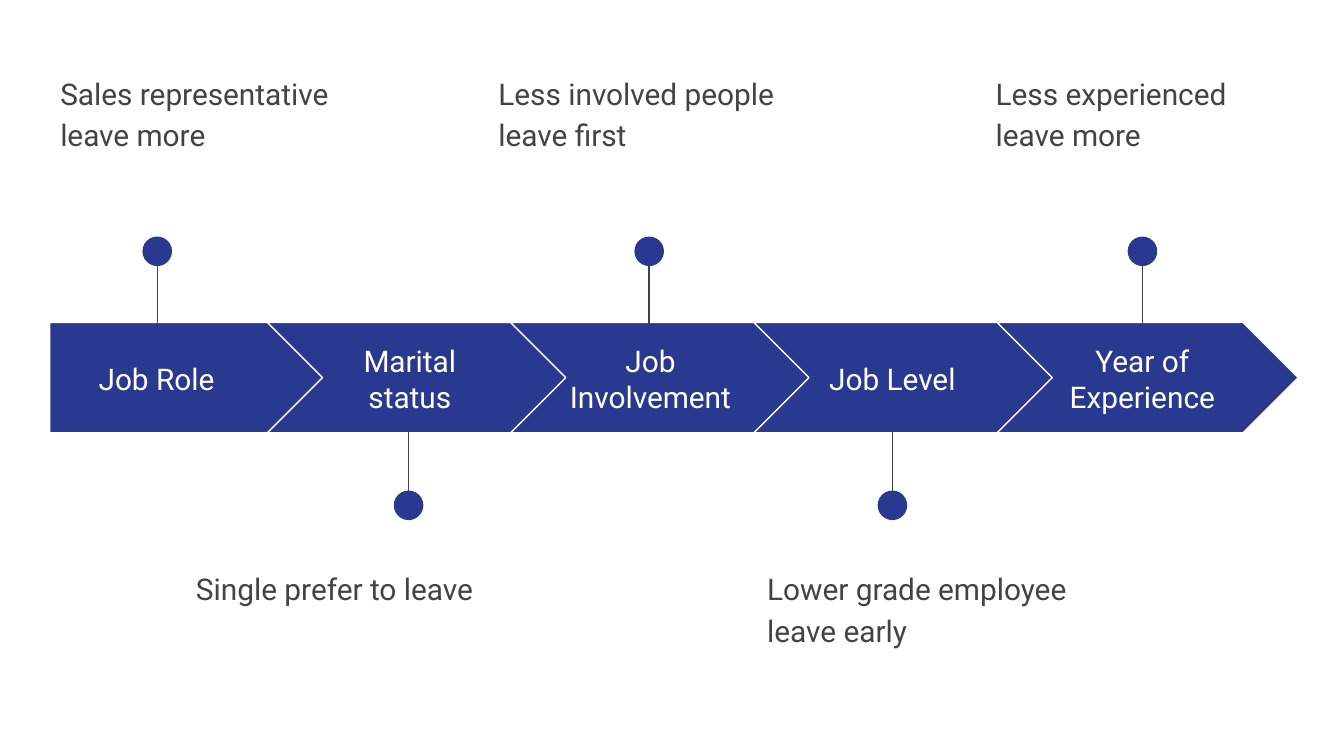
import dataclasses

import pptx
import pptx.dml.color
import pptx.enum.shapes
import pptx.enum.text
import pptx.oxml
import pptx.util

Inches = pptx.util.Inches
Shape = pptx.enum.shapes.MSO_SHAPE
Align = pptx.enum.text.PP_ALIGN
Anchor = pptx.enum.text.MSO_ANCHOR


@dataclasses.dataclass(frozen=True)
class Theme:
    font: str = "Roboto"
    size: int = 16
    line_width: float = 0.75
    accent: str = "2A3990"
    light: str = "FFFFFF"
    dark: str = "434343"


def rgb(value):
    return pptx.dml.color.RGBColor.from_string(value)


class TimelinePage:
    def __init__(self, page, theme):
        self.page = page
        self.theme = theme

    def arrow(self, kind, left, width):
        shape = self.page.shapes.add_shape(
            kind, Inches(left), Inches(2.4), Inches(width), Inches(0.82))
        shape.adjustments[0] = 0.5
        shape.shadow.inherit = False
        shape.fill.solid()
        shape.fill.fore_color.rgb = rgb(self.theme.accent)
        shape.line.color.rgb = rgb(self.theme.light)
        shape.line.width = pptx.util.Pt(self.theme.line_width)

    def text(self, words, left, top, width, height, color):
        box = self.page.shapes.add_textbox(
            Inches(left), Inches(top), Inches(width), Inches(height))
        frame = box.text_frame
        frame.word_wrap = True
        frame.margin_left = frame.margin_right = Inches(0.1)
        frame.margin_top = frame.margin_bottom = Inches(0.1)
        frame.text = words
        para = frame.paragraphs[0]
        for span in para.runs:
            span.font.name = self.theme.font
            span.font.size = pptx.util.Pt(self.theme.size)
            span.font.color.rgb = rgb(color)
        return frame, para

    def label(self, words, left, width):
        frame, para = self.text(words, left, 2.56, width, 0.51, self.theme.light)
        frame.vertical_anchor = Anchor.MIDDLE
        para.alignment = Align.CENTER

    def note(self, words, left, above):
        top = 0.42 if above else 4.11
        para = self.text(words, left, top, 2.45, 0.99, self.theme.dark)[1]
        para.line_spacing = 1.15
        para.space_after = pptx.util.Pt(16)

    def pin(self, center, above):
        start, end, dot_top = (1.8, 2.41, 1.76) if above else (3.82, 3.21, 3.65)
        group = self.page.shapes.add_group_shape()
        stem = group.shapes.add_connector(
            pptx.enum.shapes.MSO_CONNECTOR.STRAIGHT,
            Inches(center), Inches(start), Inches(center), Inches(end))
        stem.line.color.rgb = rgb(self.theme.dark)
        stem.line.width = pptx.util.Pt(self.theme.line_width)
        stem.element.spPr.append(pptx.oxml.parse_xml(
            '<a:effectLst xmlns:a='
            '"http://schemas.openxmlformats.org/drawingml/2006/main"/>'))
        dot = group.shapes.add_shape(
            Shape.OVAL, Inches(center - 0.11), Inches(dot_top),
            Inches(0.22), Inches(0.22))
        dot.shadow.inherit = False
        dot.fill.solid()
        dot.fill.fore_color.rgb = rgb(self.theme.accent)
        dot.line.fill.background()


def main():
    deck = pptx.Presentation()
    deck.slide_width = Inches(10)
    deck.slide_height = deck.slide_width * 9 // 16
    page = deck.slides.add_slide(deck.slide_layouts[6])
    timeline = TimelinePage(page, Theme())

    steps = [
        ("Job Role", 0.37, 1.17, "Sales representative leave more", 0.35),
        ("Marital status", 2.33, 3.04, "Single prefer to leave", 1.36),
        ("Job Involvement", 4.12, 4.83, "Less involved people leave first", 3.61),
        ("Job Level", 5.92, 6.64, "Lower grade employee leave early", 5.61),
        ("Year of Experience", 7.78, 8.5, "Less experienced leave more", 7.31),
    ]
    for index, (name, name_left, center, finding, note_left) in enumerate(steps):
        above = index % 2 == 0
        if index == 0:
            timeline.arrow(Shape.PENTAGON, 0.37, 2.05)
        else:
            timeline.arrow(Shape.CHEVRON, 0.18 + 1.81 * index, 2.24)
        timeline.label(name, name_left, 1.44 if index else 1.59)
        timeline.pin(center, above)
        timeline.note(finding, note_left, above)

    deck.save("out.pptx")


if __name__ == "__main__":
    main()
